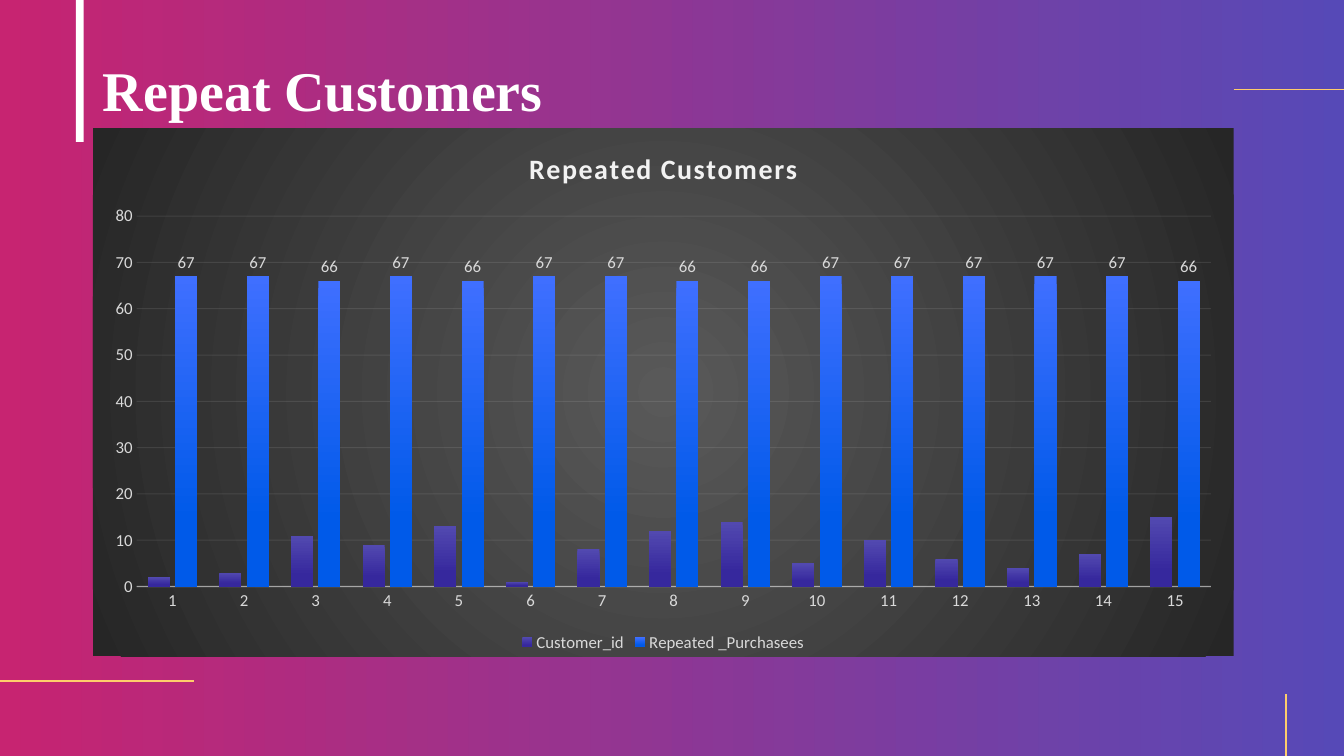
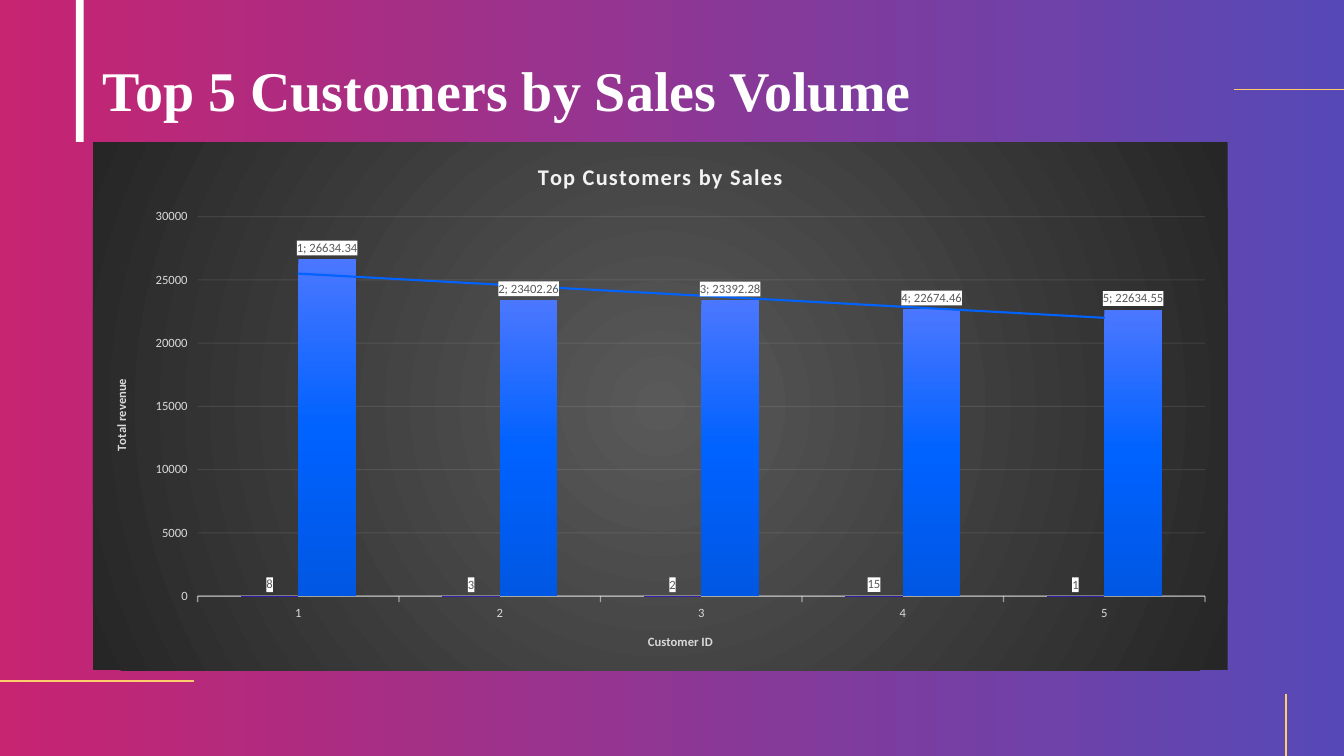
from lxml.etree import SubElement
from pptx import Presentation
from pptx.chart.data import CategoryChartData
from pptx.dml.color import RGBColor
from pptx.enum.chart import XL_CHART_TYPE, XL_LABEL_POSITION, XL_LEGEND_POSITION, XL_TICK_MARK
from pptx.enum.shapes import MSO_CONNECTOR, MSO_SHAPE
from pptx.enum.text import MSO_ANCHOR, MSO_AUTO_SIZE, PP_ALIGN
from pptx.oxml import parse_xml
from pptx.oxml.ns import nsdecls, qn
from pptx.util import Cm, Pt

WIDTH, HEIGHT = 33.87, 19.05
TITLE_BOX = (2.34, 0.51, 29.21, 3.68)
WHITE, GOLD, PALE, LIGHT, DARK = "FFFFFF", "FFCD6B", "F2F2F2", "D9D9D9", "595959"
BACKGROUND = [(0, "BE005A", 85), (100, "3B2CAC", 85)]
CHART_PANEL = [(0, "595959", 100), (100, "262626", 100)]
RIGHTWARD = '<a:lin ang="0" scaled="0"/>'
DOWNWARD = '<a:lin ang="5400000" scaled="0"/>'
FROM_CENTRE = '<a:path path="circle"><a:fillToRect l="50000" t="50000" r="50000" b="50000"/></a:path>'
GOLD_LINES = [
    ((31.09, 2.24, WIDTH, 2.24), 0.5),
    ((0, 17.15, 4.9, 17.15), 1.5),
    ((32.41, HEIGHT, 32.41, 17.5), 1.5),
]

REPEAT_CUSTOMERS = {
    "heading": "Repeat Customers",
    "box": (2.34, 3.23, 28.75, 13.31),
    "title": "Repeated Customers",
    "title_size": 20,
    "text_size": 12,
    "tick": XL_TICK_MARK.NONE,
    "plot": {"gap_width": 100, "overlap": -24},
    "scale": {"minimum_scale": 0, "maximum_scale": 80, "major_unit": 10},
    "legend": True,
    "categories": 15,
    "series": [
        {
            "name": "Customer_id",
            "values": (2, 3, 11, 9, 13, 1, 8, 12, 14, 5, 10, 6, 4, 7, 15),
            "stops": [(0, "5249B0", 100), (78, "36289D", 100), (100, "36289D", 100)],
        },
        {
            "name": "Repeated _Purchasees",
            "values": (67, 67, 66, 67, 66, 67, 67, 66, 66, 67, 67, 67, 67, 67, 66),
            "stops": [(0, "3F6FFF", 100), (78, "005AE9", 100), (100, "005AE9", 100)],
            "labels": {"show_value": True},
            "label_colour": LIGHT,
        },
    ],
}

TOP_CUSTOMERS = {
    "heading": "Top 5 Customers by Sales Volume",
    "box": (2.34, 3.58, 28.6, 13.31),
    "title": "Top Customers by Sales",
    "title_size": 16,
    "text_size": 9,
    "tick": XL_TICK_MARK.OUTSIDE,
    "plot": {"gap_width": 150, "overlap": 0},
    "scale": {"minimum_scale": 0, "maximum_scale": 30000, "major_unit": 5000},
    "axis_titles": ("Customer ID", "Total revenue"),
    "categories": 5,
    "series": [
        {
            "name": "Series 1",
            "values": (8, 3, 2, 15, 1),
            "stops": [(0, "5A53B7", 100), (50, "3626B2", 100), (100, "2C1CA4", 100)],
            "labels": {"show_value": True},
            "label_colour": DARK,
            "label_fill": WHITE,
        },
        {
            "name": "Series 2",
            "values": (26634.34, 23402.26, 23392.28, 22674.46, 22634.55),
            "stops": [(0, "4B77FF", 100), (50, "0062FF", 100), (100, "0057E3", 100)],
            "labels": {"show_value": True, "show_category_name": True},
            "label_colour": DARK,
            "label_fill": WHITE,
            "trend": "0062FF",
        },
    ],
}


def colour(hex_string):
    """Turn a hex string into a colour."""
    return RGBColor.from_string(hex_string)


def set_attributes(target, values):
    """Set every attribute named in a dict."""
    for name, value in values.items():
        setattr(target, name, value)


def format_font(font, size, hex_string, bold=False, name="Calibri"):
    """Give a font its face, size, weight and colour."""
    set_attributes(font, {"name": name, "size": Pt(size), "bold": bold})
    font.color.rgb = colour(hex_string)


def apply_gradient(properties, stops, direction):
    """Replace the solid fill in shape properties by a gradient."""
    stop_list = "".join(
        f'<a:gs pos="{position * 1000}"><a:srgbClr val="{hex_string}">'
        f'<a:alpha val="{opacity * 1000}"/></a:srgbClr></a:gs>'
        for position, hex_string, opacity in stops
    )
    gradient = parse_xml(
        f'<a:gradFill {nsdecls("a")} rotWithShape="1"><a:gsLst>{stop_list}</a:gsLst>{direction}</a:gradFill>'
    )
    properties.replace(properties.find(qn("a:solidFill")), gradient)


def format_faded_line(line, element, query, width, opacity):
    """Draw a pale, partly transparent line."""
    line.color.rgb = colour(PALE)
    line.width = Pt(width)
    SubElement(element.xpath(query)[0], qn("a:alpha")).set("val", str(opacity * 1000))


def add_rectangle(slide, box):
    """Add a plain white rectangle without outline."""
    shape = slide.shapes.add_shape(MSO_SHAPE.RECTANGLE, *map(Cm, box))
    shape.shadow.inherit = False
    shape.fill.solid()
    shape.fill.fore_color.rgb = colour(WHITE)
    shape.line.fill.background()
    return shape


def add_gold_line(slide, ends, width):
    """Add one gold line between two points."""
    connector = slide.shapes.add_connector(MSO_CONNECTOR.STRAIGHT, *map(Cm, ends))
    connector.line.color.rgb = colour(GOLD)
    connector.line.width = Pt(width)
    SubElement(connector._element.spPr, qn("a:effectLst"))
    return connector


def build_layout(slide):
    """Draw the shared frame and move it to the layout of the slide."""
    background = add_rectangle(slide, (0, 0, WIDTH, HEIGHT))
    apply_gradient(background._element.spPr, BACKGROUND, RIGHTWARD)
    frame = [background, add_rectangle(slide, (1.91, 0, 0.2, 3.58))]
    frame += [add_gold_line(slide, ends, width) for ends, width in GOLD_LINES]
    layout_tree = slide.slide_layout.shapes._spTree
    for offset, shape in enumerate(frame):
        shape._element.xpath(".//p:cNvPr")[0].set("id", str(100 + offset))
        layout_tree.insert(2 + offset, shape._element)


def fill_title(slide, text, box):
    """Place and format the slide title in its box, in front."""
    title = slide.shapes.title
    places = zip(("left", "top", "width", "height"), map(Cm, box))
    set_attributes(title, dict(places))
    title.text_frame.text = text
    set_attributes(
        title.text_frame,
        {"vertical_anchor": MSO_ANCHOR.MIDDLE, "word_wrap": True, "auto_size": MSO_AUTO_SIZE.NONE},
    )
    paragraph = title.text_frame.paragraphs[0]
    set_attributes(paragraph, {"alignment": PP_ALIGN.LEFT, "line_spacing": 0.9})
    format_font(paragraph.runs[0].font, 40, WHITE, True, "Times New Roman")
    slide.shapes._spTree.append(title._element)


def format_axes(chart, content):
    """Format both axes, the gridlines and any axis titles."""
    category_axis, value_axis = chart.category_axis, chart.value_axis
    for axis in (category_axis, value_axis):
        set_attributes(axis, {"major_tick_mark": content["tick"], "minor_tick_mark": XL_TICK_MARK.NONE})
        format_font(axis.tick_labels.font, content["text_size"], LIGHT)
    set_attributes(value_axis, content["scale"])
    value_axis.format.line.fill.background()
    format_faded_line(
        category_axis.format.line, category_axis._element, "c:spPr//a:srgbClr", 1, 54
    )
    format_faded_line(
        value_axis.major_gridlines.format.line,
        value_axis._element, "c:majorGridlines//a:srgbClr", 0.75, 10,
    )
    for axis, text, turn in zip((category_axis, value_axis), content.get("axis_titles", ()), (0, -5400000)):
        text_frame = axis.axis_title.text_frame
        text_frame.text = text
        format_font(text_frame.paragraphs[0].runs[0].font, 9, LIGHT, True)
        text_frame._element.find(qn("a:bodyPr")).set("rot", str(turn))


def format_labels(series, details, size):
    """Show the data labels of one series."""
    labels = series.data_labels
    format_font(labels.font, size, details["label_colour"])
    set_attributes(labels, {"position": XL_LABEL_POSITION.OUTSIDE_END, **details["labels"]})
    element = labels._element
    separator = parse_xml(f'<c:separator {nsdecls("c")}>; </c:separator>')
    element.find(qn("c:showBubbleSize")).addnext(separator)
    if "label_fill" in details:
        element.find(qn("c:txPr")).addprevious(parse_xml(
            f'<c:spPr {nsdecls("c", "a")}><a:solidFill><a:srgbClr val="{details["label_fill"]}"/>'
            "</a:solidFill><a:ln><a:noFill/></a:ln></c:spPr>"
        ))


def format_series(series, details, size):
    """Give one series its gradient, labels and trend line."""
    series.invert_if_negative = False
    series.format.fill.solid()
    apply_gradient(series._element.find(qn("c:spPr")), details["stops"], DOWNWARD)
    if "labels" in details:
        format_labels(series, details, size)
    if "trend" in details:
        series._element.find(qn("c:cat")).addprevious(parse_xml(
            f'<c:trendline {nsdecls("c", "a")}><c:spPr><a:ln w="{Pt(1.5)}" cap="rnd"><a:solidFill>'
            f'<a:srgbClr val="{details["trend"]}"/></a:solidFill></a:ln></c:spPr>'
            '<c:trendlineType val="linear"/><c:dispRSqr val="0"/><c:dispEq val="0"/></c:trendline>'
        ))


def add_column_chart(slide, content, box):
    """Add the dark column chart to its box."""
    data = CategoryChartData()
    data.categories = [str(number + 1) for number in range(content["categories"])]
    for details in content["series"]:
        data.add_series(details["name"], details["values"])
    chart = slide.shapes.add_chart(XL_CHART_TYPE.COLUMN_CLUSTERED, *map(Cm, box), data).chart
    format_font(chart.font, 10, LIGHT)
    panel = parse_xml(
        f'<c:spPr {nsdecls("c", "a")}><a:solidFill/><a:ln><a:noFill/></a:ln></c:spPr>'
    )
    apply_gradient(panel, CHART_PANEL, FROM_CENTRE)
    chart._chartSpace.find(qn("c:chart")).addnext(panel)

    chart.chart_title.text_frame.text = content["title"]
    title_font = chart.chart_title.text_frame.paragraphs[0].runs[0].font
    format_font(title_font, content["title_size"], PALE, True)
    title_font._element.set("spc", "100")

    chart.has_legend = content.get("legend", False)
    if chart.has_legend:
        set_attributes(chart.legend, {"position": XL_LEGEND_POSITION.BOTTOM, "include_in_layout": False})
        format_font(chart.legend.font, content["text_size"], LIGHT)
    plot = chart.plots[0]
    set_attributes(plot, {"vary_by_categories": False, **content["plot"]})
    format_axes(chart, content)
    for series, details in zip(plot.series, content["series"]):
        format_series(series, details, content["text_size"])


def add_chart_slide(presentation, layout, content):
    """Add a slide with a title and a chart."""
    slide = presentation.slides.add_slide(layout)
    add_column_chart(slide, content, content["box"])
    fill_title(slide, content["heading"], TITLE_BOX)
    return slide


def main():
    """Build and save the presentation."""
    presentation = Presentation()
    set_attributes(presentation, {"slide_width": Cm(WIDTH), "slide_height": Cm(HEIGHT)})
    layout = presentation.slide_layouts[5]
    slides = [add_chart_slide(presentation, layout, content) for content in (REPEAT_CUSTOMERS, TOP_CUSTOMERS)]
    build_layout(slides[0])
    presentation.save("out.pptx")


if __name__ == "__main__":
    main()
